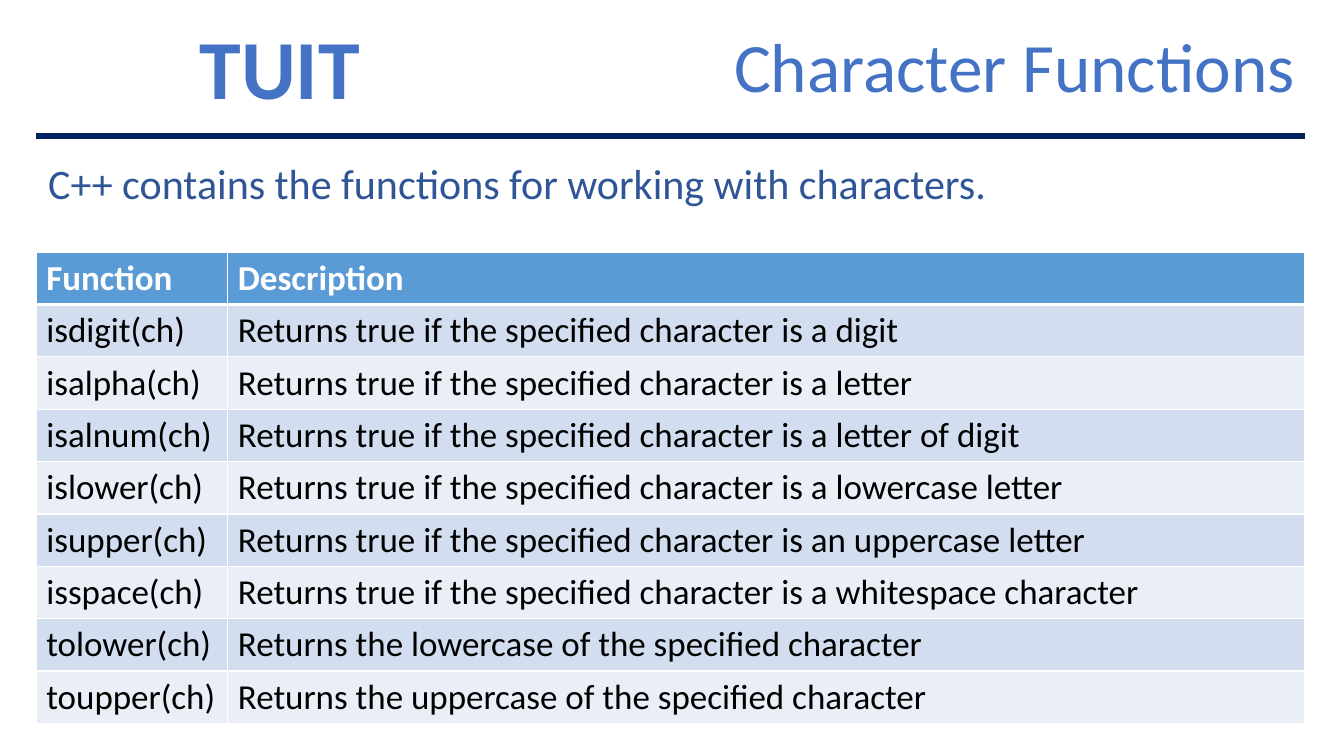
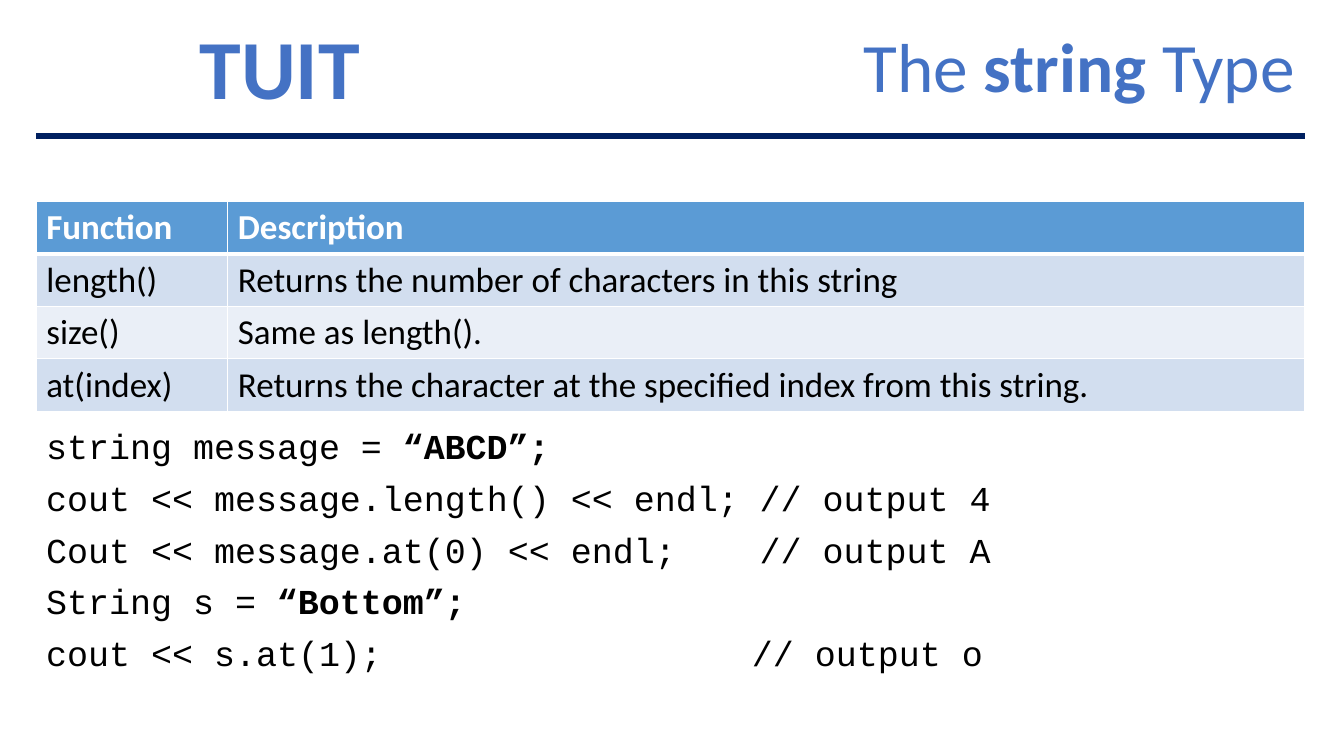
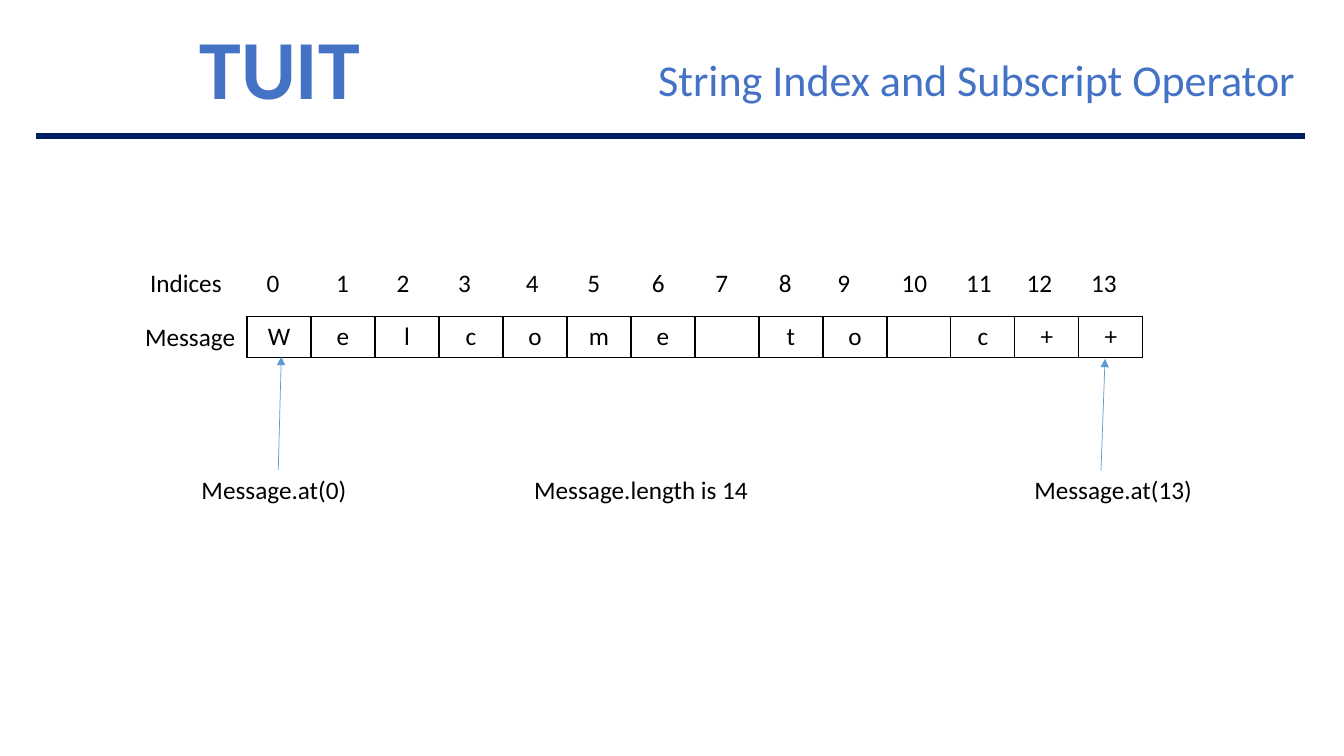
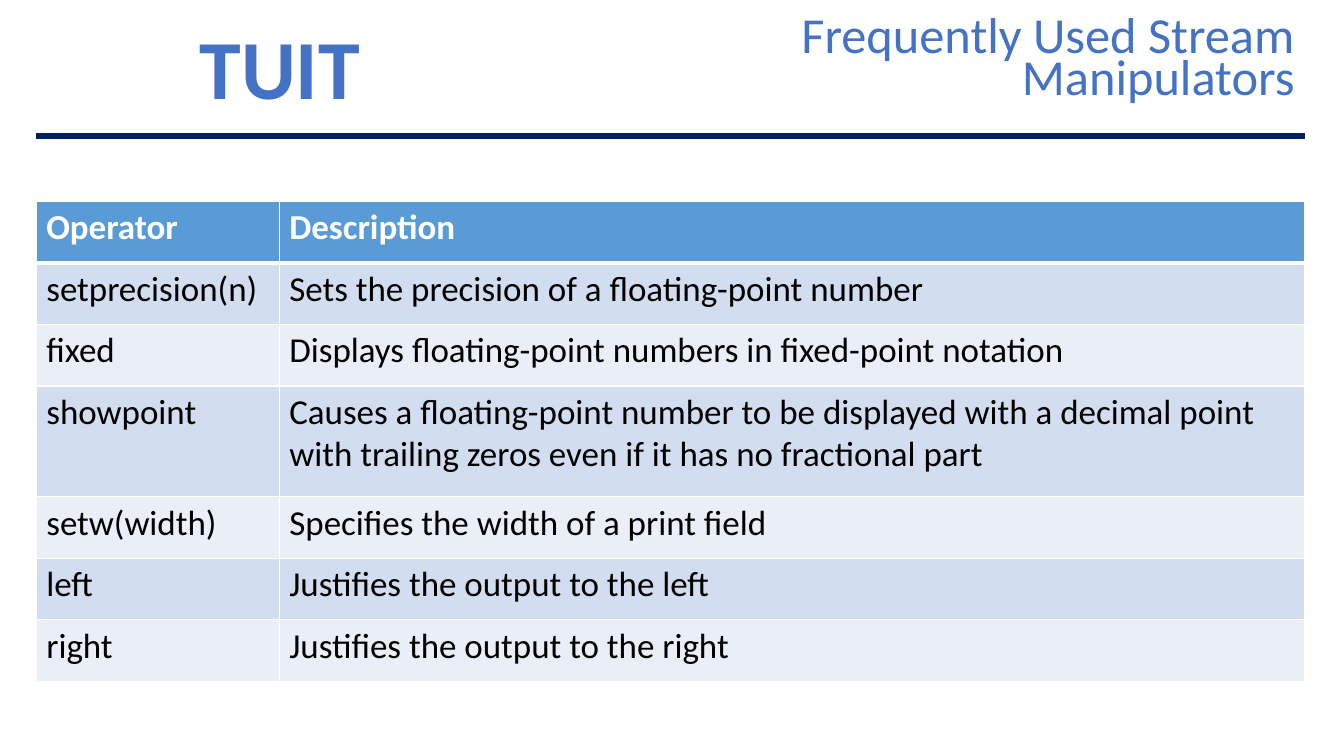
from lxml import etree
from pptx import Presentation
from pptx.dml.color import RGBColor
from pptx.enum.shapes import MSO_CONNECTOR
from pptx.enum.text import MSO_ANCHOR, PP_ALIGN
from pptx.oxml.ns import qn
from pptx.util import Emu, Pt

LEFT, CENTER, RIGHT, JUSTIFY = PP_ALIGN.LEFT, PP_ALIGN.CENTER, PP_ALIGN.RIGHT, PP_ALIGN.JUSTIFY
TOP, BOTTOM = MSO_ANCHOR.TOP, MSO_ANCHOR.BOTTOM
STRAIGHT = MSO_CONNECTOR.STRAIGHT

EMU_PER_PX = 9144
SLIDE_SIZE = (1333, 750)
MARGIN, RIGHT_EDGE = 36, 1294
BODY_WIDTH = RIGHT_EDGE - MARGIN
INSET = 10
BODY_FONT, CODE_FONT = "Calibri", "Courier New"
COLORS = {
    "title": "4472C4", "rule": "002060", "intro": "2F5597", "text": "000000",
    "header": "5B9BD5", "odd_row": "D2DEEF", "even_row": "EAEFF7", "white": "FFFFFF",
}

CHARACTER_FUNCTIONS = [
    ("Function", "Description"),
    ("isdigit(ch)", "Returns true if the specified character is a digit"),
    ("isalpha(ch)", "Returns true if the specified character is a letter"),
    ("isalnum(ch)", "Returns true if the specified character is a letter of digit"),
    ("islower(ch)", "Returns true if the specified character is a lowercase letter"),
    ("isupper(ch)", "Returns true if the specified character is an uppercase letter"),
    ("isspace(ch)", "Returns true if the specified character is a whitespace character"),
    ("tolower(ch)", "Returns the lowercase of the specified character"),
    ("toupper(ch)", "Returns the uppercase of the specified character"),
]
STRING_FUNCTIONS = [
    ("Function", "Description"),
    ("length()", "Returns the number of characters in this string"),
    ("size()", "Same as length()."),
    ("at(index)", "Returns the character at the specified index from this string."),
]
MANIPULATORS = [
    ("Operator", "Description"),
    ("setprecision(n)", "Sets the precision of a floating-point number"),
    ("fixed", "Displays floating-point numbers in fixed-point notation"),
    ("showpoint", "Causes a floating-point number to be displayed with a decimal point "
                  "with trailing zeros even if it has no fractional part"),
    ("setw(width)", "Specifies the width of a print field"),
    ("left", "Justifies the output to the left"),
    ("right", "Justifies the output to the right"),
]
STRING_CODE = [
    [("string message = ", False), ("“ABCD”;", True)],
    [("cout << message.length() << endl; // output 4", False)],
    [("Cout << message.at(0) << endl;    // output A", False)],
    [("String s = ", False), ("“Bottom”;", True)],
    [("cout << s.at(1);\t// output o", False)],
]
CODE_COMMENT_TAB = 700

MESSAGE = "Welcome to c++"
MESSAGE_BOX = (245, 314, 889, 41)
INDICES_BOX = (139, 260, 996, 40)
INDEX_CENTERS = [271, 340, 400, 461, 528, 589, 653, 716, 779, 837, 907, 971, 1031, 1095]
LABELS = [
    ("Message", (134, 314, 112, 40)),
    ("Message.length is 14", (520, 466, 243, 40)),
]
POINTERS = [
    ("Message.at(0)", (190, 466, 172, 40), (276, 466), (279, 354)),
    ("Message.at(13)", (1016, 466, 187, 40), (1092, 467), (1096, 356)),
]


def px(length):
    return Emu(round(length * EMU_PER_PX))


def rgb(name):
    return RGBColor.from_string(COLORS[name])


def write_runs(paragraph, runs, size, color, font=BODY_FONT):
    for text, bold in runs:
        run = paragraph.add_run()
        run.text = text
        run.font.size, run.font.name, run.font.bold = Pt(size), font, bold
        run.font.color.rgb = rgb(color)


def add_text(slide, box, lines, size, color="text", font=BODY_FONT, align=LEFT,
             anchor=TOP, line_spacing=None, gap=0, tabs=(), tab_align="l"):
    shape = slide.shapes.add_textbox(*map(px, box))
    frame = shape.text_frame
    frame.word_wrap = True
    frame.vertical_anchor = anchor
    for number, runs in enumerate(lines):
        paragraph = frame.add_paragraph() if number else frame.paragraphs[0]
        paragraph.alignment = align
        if line_spacing:
            paragraph.line_spacing = line_spacing
        if number and gap:
            paragraph.space_before = Pt(gap)
        if tabs:
            stops = etree.SubElement(paragraph._p.get_or_add_pPr(), qn("a:tabLst"))
            for tab in tabs:
                etree.SubElement(stops, qn("a:tab"), pos=str(px(tab)), algn=tab_align)
        write_runs(paragraph, runs, size, color, font)
    return shape


def add_line(slide, start, end, color, width):
    line = slide.shapes.add_connector(STRAIGHT, *map(px, start + end))
    line.line.color.rgb = rgb(color)
    line.line.width = Pt(width)
    etree.SubElement(line._element.spPr, qn("a:effectLst"))
    return line


def set_borders(cell, color, top=1, bottom=1):
    properties = cell._tc.get_or_add_tcPr()
    for side, width in (("L", 1), ("R", 1), ("T", top), ("B", bottom)):
        border = etree.SubElement(properties, qn("a:ln" + side), w=str(Pt(width)))
        fill = etree.SubElement(border, qn("a:solidFill"))
        etree.SubElement(fill, qn("a:srgbClr"), val=COLORS[color])


def add_grid(slide, box, row_heights, column_widths):
    grid = slide.shapes.add_table(len(row_heights), len(column_widths), *map(px, box)).table
    grid.first_row = grid.horz_banding = False
    for row, height in zip(grid.rows, row_heights):
        row.height = px(height)
    for column, width in zip(grid.columns, column_widths):
        column.width = px(width)
    return grid


def add_reference_table(slide, top, entries, name_width, row_heights):
    box = (MARGIN, top, BODY_WIDTH, sum(row_heights))
    grid = add_grid(slide, box, row_heights, [name_width, BODY_WIDTH - name_width])
    for row, entry in enumerate(entries):
        header = row == 0
        band = "header" if header else "odd_row" if row % 2 else "even_row"
        for column, text in enumerate(entry):
            cell = grid.cell(row, column)
            set_borders(cell, "white", top=3 if row == 1 else 1, bottom=3 if header else 1)
            cell.fill.solid()
            cell.fill.fore_color.rgb = rgb(band)
            write_runs(cell.text_frame.paragraphs[0], [(text, header)], 25,
                       "white" if header else "text")


def add_page(deck, title, size, title_left):
    slide = deck.slides.add_slide(deck.slide_layouts[6])
    add_text(slide, (188, 26, 193, 81), [[("TUIT", True)]], 60, "title",
             align=JUSTIFY, line_spacing=0.85)
    add_line(slide, (MARGIN, 135), (RIGHT_EDGE, 135), "rule", 4.5)
    add_text(slide, (title_left, 33, RIGHT_EDGE - title_left, 75), [title], size, "title",
             align=RIGHT, anchor=BOTTOM, line_spacing=0.7)
    return slide


def add_character_page(deck):
    slide = add_page(deck, [("Character Functions", False)], 49.5, 534)
    intro = "C++ contains the functions for working with characters."
    add_text(slide, (38, 151, BODY_WIDTH, 84), [[(intro, False)]], 30, "intro", align=JUSTIFY)
    add_reference_table(slide, 250, CHARACTER_FUNCTIONS, 190, [52] * len(CHARACTER_FUNCTIONS))


def add_string_page(deck):
    title = [("The ", False), ("string ", True), ("Type", False)]
    slide = add_page(deck, title, 49.5, 780)
    add_reference_table(slide, 200, STRING_FUNCTIONS, 190, [52] * len(STRING_FUNCTIONS))
    add_text(slide, (MARGIN, 421, BODY_WIDTH, 305), STRING_CODE, 25, font=CODE_FONT,
             align=JUSTIFY, line_spacing=0.9, gap=10, tabs=[CODE_COMMENT_TAB])


def add_index_page(deck):
    slide = add_page(deck, [("String Index and Subscript Operator", False)], 31.5, 601)
    width, height = MESSAGE_BOX[2:]
    letters = add_grid(slide, MESSAGE_BOX, [height], [width / len(MESSAGE)] * len(MESSAGE))
    for column, letter in enumerate(MESSAGE):
        cell = letters.cell(0, column)
        set_borders(cell, "text")
        cell.fill.background()
        paragraph = cell.text_frame.paragraphs[0]
        paragraph.alignment = CENTER
        if letter != " ":
            write_runs(paragraph, [(letter, False)], 18, "text")

    indices = "\t".join(["Indices", *map(str, range(len(MESSAGE)))])
    text_left = INDICES_BOX[0] + INSET
    add_text(slide, INDICES_BOX, [[(indices, False)]], 18,
             tabs=[center - text_left for center in INDEX_CENTERS], tab_align="ctr")
    for text, box in LABELS:
        add_text(slide, box, [[(text, False)]], 18)
    for text, box, start, end in POINTERS:
        label = add_text(slide, box, [[(text, False)]], 18)
        arrow = add_line(slide, start, end, "header", 0.5)
        etree.SubElement(arrow.line._get_or_add_ln(), qn("a:tailEnd"), type="triangle")
        if start == (box[0] + box[2] // 2, box[1]):
            arrow.begin_connect(label, 0)


def add_manipulator_page(deck):
    slide = add_page(deck, [("Frequently Used Stream Manipulators", False)], 36, 514)
    add_reference_table(slide, 200, MANIPULATORS, 241, [61, 61, 61, 110, 61, 61, 61])


def main():
    deck = Presentation()
    deck.slide_width, deck.slide_height = map(px, SLIDE_SIZE)
    add_character_page(deck)
    add_string_page(deck)
    add_index_page(deck)
    add_manipulator_page(deck)
    deck.save("out.pptx")


if __name__ == "__main__":
    main()
